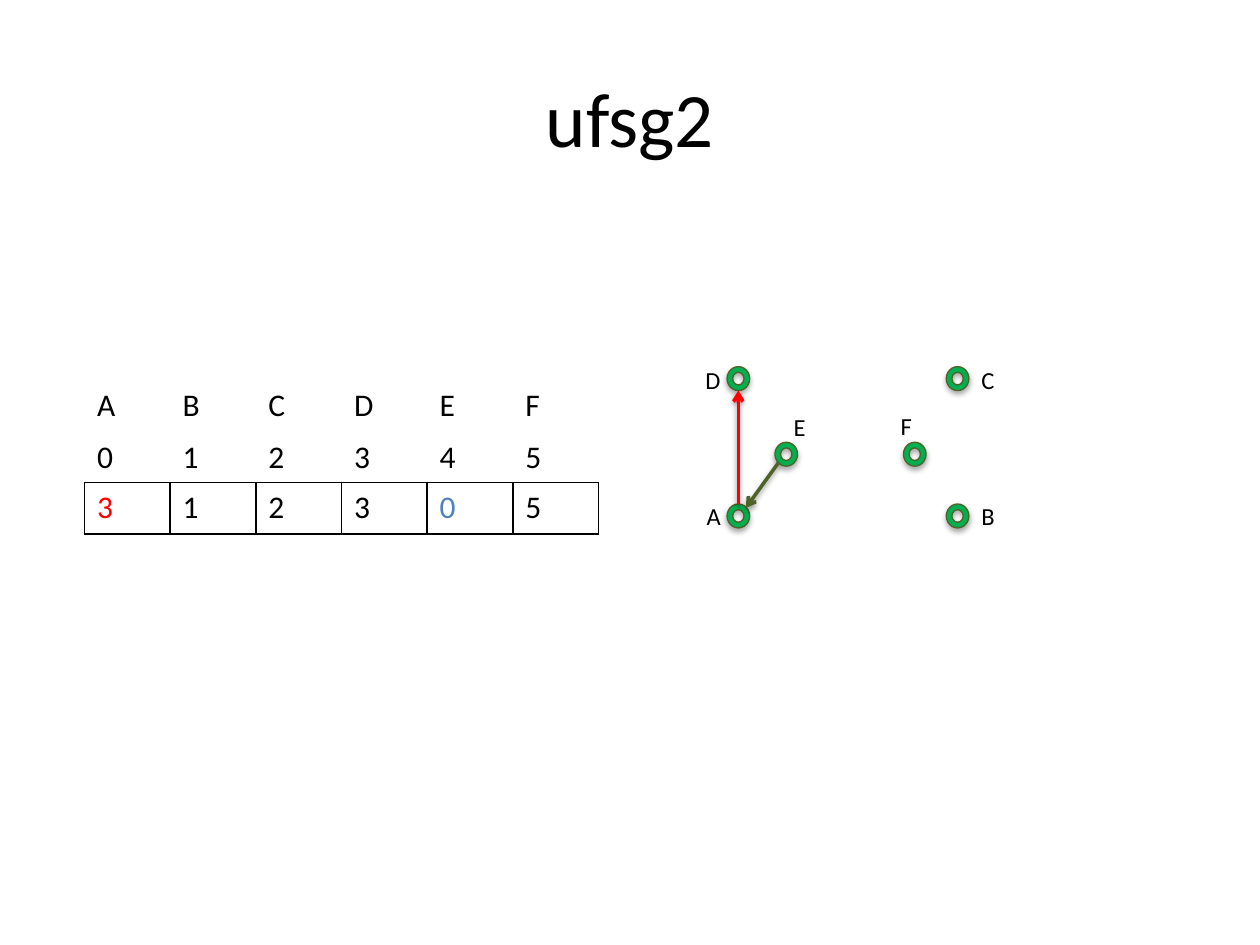
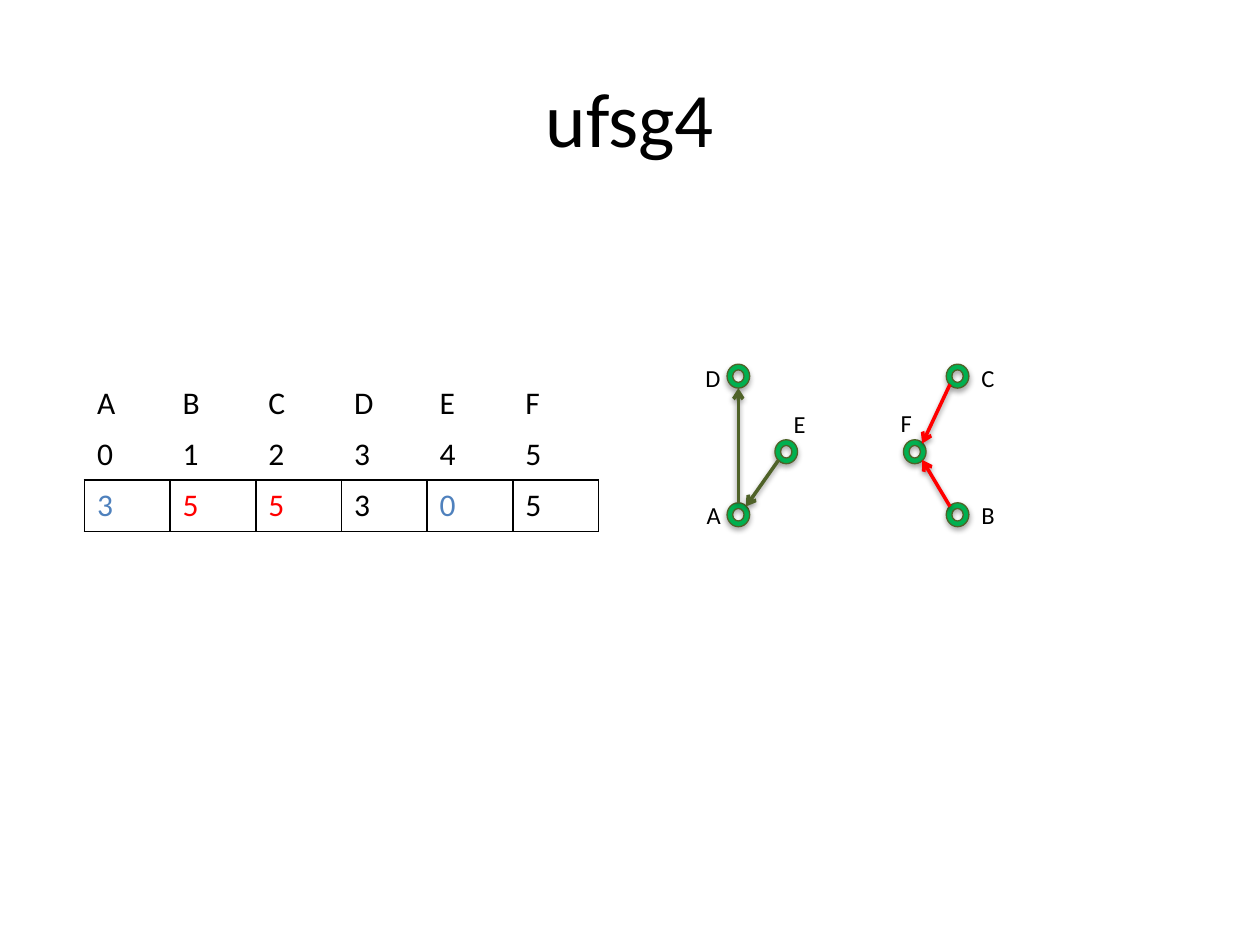
from dataclasses import dataclass
from enum import Enum
from typing import NamedTuple

from lxml.etree import SubElement
from pptx import Presentation
from pptx.dml.color import RGBColor
from pptx.enum.shapes import MSO_CONNECTOR, MSO_SHAPE
from pptx.enum.text import MSO_ANCHOR, MSO_AUTO_SIZE, PP_ALIGN
from pptx.oxml.ns import qn
from pptx.util import Emu, Pt

BLACK = RGBColor(0x00, 0x00, 0x00)
RED = RGBColor(0xFF, 0x00, 0x00)
BLUE = RGBColor(0x4F, 0x81, 0xBD)
GREEN = RGBColor(0x00, 0xB0, 0x50)
OLIVE = RGBColor(0x4F, 0x62, 0x28)

FONT = "Calibri"
EMU_PER_PX = 9144
NO_STYLE = "{2D5ABB26-0587-4C30-8999-92F81FD0307C}"

TABLE_LEFT, CELL_W, CELL_H = 67, 68, 41
ROW_OFFSETS = (0, 41, 81)
NODE_W, NODE_H = 18, 19
LABEL_H = 34


class Site(Enum):
    TOP = (9, 0)
    BOTTOM = (9, 19)
    TOP_LEFT = (3, 3)
    TOP_RIGHT = (15, 3)
    BOTTOM_LEFT = (3, 16)
    BOTTOM_RIGHT = (15, 16)


class Node(NamedTuple):
    name: str
    x: int
    row: int
    label_dx: int
    label_dy: int
    label_w: int


class Edge(NamedTuple):
    start: str
    start_site: Site
    end: str
    end_site: Site
    color: RGBColor = OLIVE


class Entry(NamedTuple):
    text: str
    color: RGBColor = BLACK


@dataclass(frozen=True)
class Step:
    title: str
    table_top: int
    node_rows: tuple[int, int, int]
    parents: list[Entry]
    edges: list[Edge]


NODES = {n.name: n for n in (
    Node("D", 577, 0, -27, -6, 32),
    Node("E", 615, 1, 5, -29, 30),
    Node("C", 751, 0, 18, -6, 31),
    Node("A", 577, 2, -26, -7, 32),
    Node("B", 751, 2, 18, -7, 31),
    Node("F", 717, 1, -12, -30, 29),
)}

E_TO_A = Edge("E", Site.BOTTOM_LEFT, "A", Site.TOP_RIGHT)

STEPS = (
    Step("ufsg2", 302, (291, 351, 400),
         [Entry("3", RED), Entry("1"), Entry("2"),
          Entry("3"), Entry("0", BLUE), Entry("5")],
         [Edge("A", Site.TOP, "D", Site.BOTTOM, RED), E_TO_A]),
    Step("ufsg4", 300, (289, 349, 399),
         [Entry("3", BLUE), Entry("5", RED), Entry("5", RED),
          Entry("3"), Entry("0", BLUE), Entry("5")],
         [Edge("A", Site.TOP, "D", Site.BOTTOM), E_TO_A,
          Edge("C", Site.BOTTOM_LEFT, "F", Site.TOP_RIGHT, RED),
          Edge("B", Site.TOP_LEFT, "F", Site.BOTTOM_RIGHT, RED)]),
)


def px(*values: int) -> list[Emu]:
    return [Emu(v * EMU_PER_PX) for v in values]


def add_run(p, text: str, size: int, color: RGBColor = BLACK) -> None:
    r = p.add_run()
    r.text = text
    r.font.name = FONT
    r.font.size = Pt(size)
    r.font.color.rgb = color


def add_shadow(sp, dist: int, opacity: int) -> None:
    effects = SubElement(sp._element.spPr, qn("a:effectLst"))
    shadow = SubElement(effects, qn("a:outerShdw"), blurRad="40000",
                        dist=str(dist), dir="5400000", rotWithShape="0")
    color = SubElement(shadow, qn("a:srgbClr"), val=str(BLACK))
    SubElement(color, qn("a:alpha"), val=str(opacity * 1000))


def add_title(s, text: str) -> None:
    sp = s.shapes.title
    sp.left, sp.top, sp.width, sp.height = px(50, 30, 900, 125)
    tf = sp.text_frame
    tf.vertical_anchor = MSO_ANCHOR.MIDDLE
    p = tf.paragraphs[0]
    p.alignment = PP_ALIGN.CENTER
    add_run(p, text, 44)


def add_borders(cell) -> None:
    props = cell._tc.get_or_add_tcPr()
    for i, side in enumerate(("a:lnL", "a:lnR", "a:lnT", "a:lnB")):
        ln = props.makeelement(qn(side), {"w": str(Pt(1))})
        fill = SubElement(ln, qn("a:solidFill"))
        SubElement(fill, qn("a:srgbClr"), val=str(BLACK))
        props.insert(i, ln)


def add_row(s, top: int, entries: list[Entry], bordered: bool = False) -> None:
    frame = s.shapes.add_table(
        1, len(entries), *px(TABLE_LEFT, top, CELL_W * len(entries), CELL_H))
    table = frame.table
    table.first_row = table.horz_banding = False
    table._tbl.tblPr.find(qn("a:tableStyleId")).text = NO_STYLE
    for cell, entry in zip(table.iter_cells(), entries):
        cell.fill.background()
        add_run(cell.text_frame.paragraphs[0], entry.text, 18, entry.color)
        if bordered:
            add_borders(cell)


def add_node(s, node: Node, y: int) -> None:
    sp = s.shapes.add_shape(MSO_SHAPE.DONUT, *px(node.x, y, NODE_W, NODE_H))
    sp.fill.solid()
    sp.fill.fore_color.rgb = GREEN
    sp.line.color.rgb = OLIVE
    sp.line.width = Pt(0.75)
    add_shadow(sp, 23000, 35)

    label = s.shapes.add_textbox(*px(
        node.x + node.label_dx, y + node.label_dy, node.label_w, LABEL_H))
    tf = label.text_frame
    tf.word_wrap = False
    tf.auto_size = MSO_AUTO_SIZE.SHAPE_TO_FIT_TEXT
    add_run(tf.paragraphs[0], node.name, 14)


def add_edge(s, edge: Edge, rows: tuple[int, int, int]) -> None:
    ends = []
    for name, site in ((edge.start, edge.start_site), (edge.end, edge.end_site)):
        node = NODES[name]
        dx, dy = site.value
        ends += [node.x + dx, rows[node.row] + dy]
    line = s.shapes.add_connector(MSO_CONNECTOR.STRAIGHT, *px(*ends))
    line.line.color.rgb = edge.color
    line.line.width = Pt(2)
    SubElement(line.line._get_or_add_ln(), qn("a:tailEnd"), type="arrow")
    add_shadow(line, 20000, 38)


def add_step(prs, step: Step) -> None:
    s = prs.slides.add_slide(prs.slide_layouts[5])
    add_title(s, step.title)
    names_top, index_top, parents_top = (step.table_top + o for o in ROW_OFFSETS)
    names = sorted(NODES)
    add_row(s, parents_top, step.parents, bordered=True)
    add_row(s, index_top, [Entry(str(i)) for i in range(len(names))])
    add_row(s, names_top, [Entry(name) for name in names])
    for node in NODES.values():
        add_node(s, node, step.node_rows[node.row])
    for edge in step.edges:
        add_edge(s, edge, step.node_rows)


def main() -> None:
    prs = Presentation()
    prs.slide_width, prs.slide_height = px(1000, 750)
    for step in STEPS:
        add_step(prs, step)
    prs.save("out.pptx")


if __name__ == "__main__":
    main()
